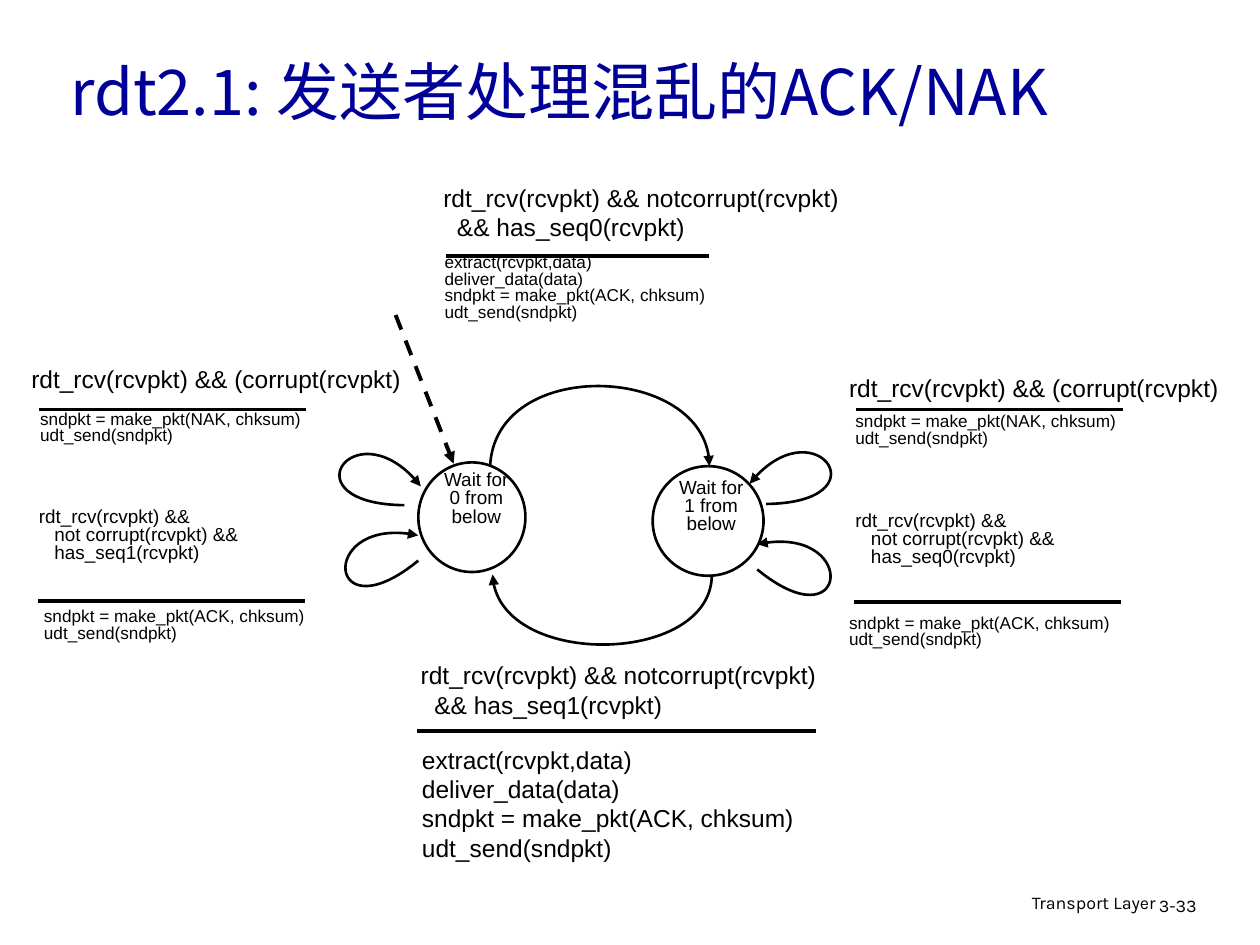
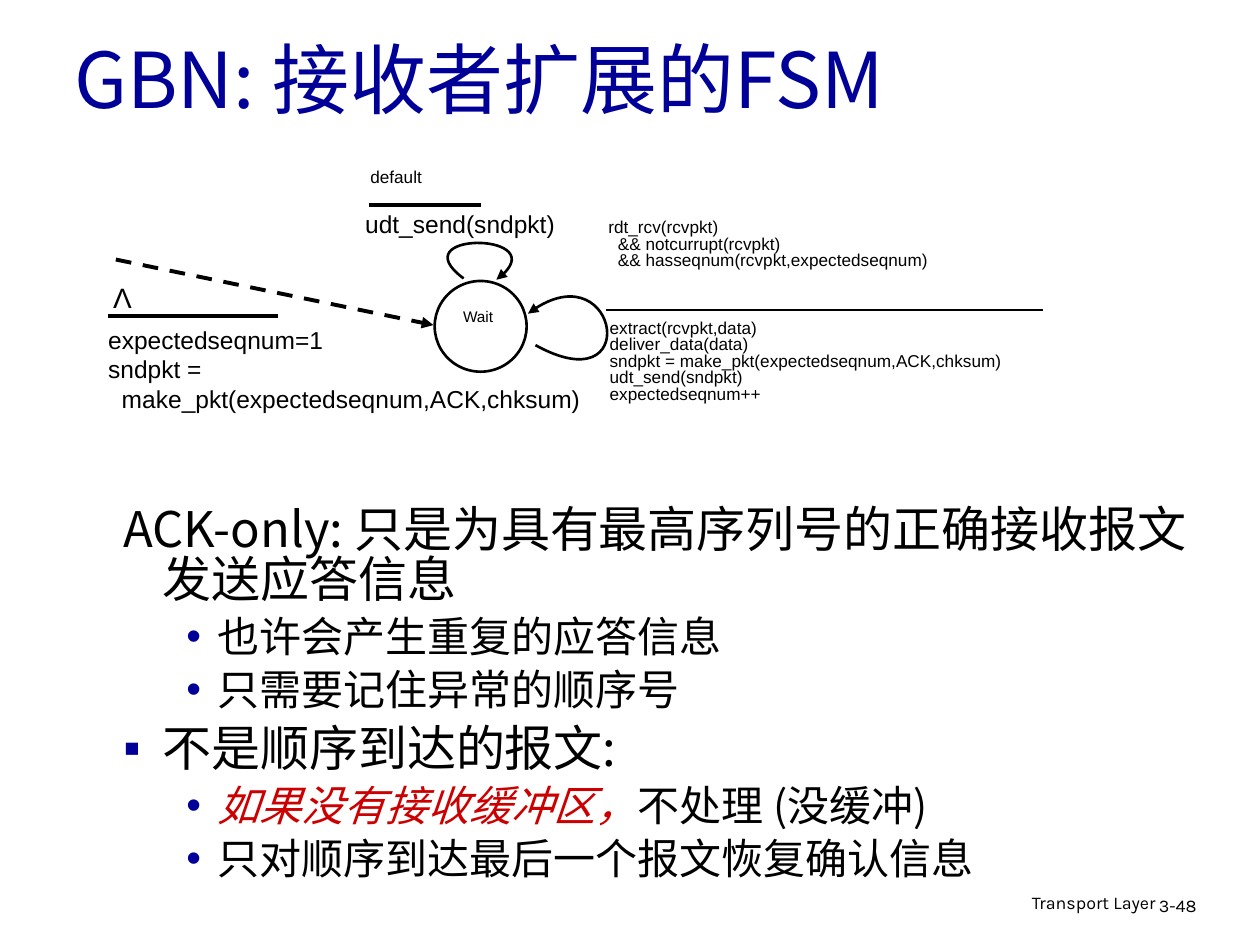
from pptx import Presentation
from pptx.dml.color import RGBColor
from pptx.enum.dml import MSO_LINE
from pptx.enum.shapes import MSO_CONNECTOR, MSO_SHAPE
from pptx.enum.text import MSO_ANCHOR, MSO_AUTO_SIZE, PP_ALIGN
from pptx.oxml.ns import qn
from pptx.util import Inches, Pt
from lxml.etree import SubElement

HUES = {"ink": "000000", "navy": "000099", "red": "CC0000", "white": "FFFFFF"}
HUE = {name: RGBColor.from_string(code) for name, code in HUES.items()}
HAN = "Noto Sans CJK SC"


def write(frame, text, size=14, font="Arial", hue="ink", align=PP_ALIGN.LEFT,
          space=1.0, before=0, mark=None, indent=None, hot=""):
    """Add one paragraph per line; hot is a red italic lead-in."""
    frame.word_wrap = True
    frame.auto_size = MSO_AUTO_SIZE.NONE
    for line in text.split("\n"):
        first = frame.paragraphs[0]
        para = frame.add_paragraph() if first.runs else first
        props = para._p.get_or_add_pPr()
        if indent:
            props.set("marL", str(Inches(indent[0])))
            props.set("indent", str(Inches(indent[1])))
            if mark:
                tint = SubElement(props, qn("a:buClr"))
                SubElement(tint, qn("a:srgbClr"), val=HUES["navy"])
                SubElement(props, qn("a:buChar"), char=mark)
            else:
                SubElement(props, qn("a:buNone"))
        para.alignment = align
        para.line_spacing = space
        para.space_before = Pt(before)
        para.space_after = Pt(0)
        for part, tone in ((hot, "red"), (line, hue)):
            if part:
                run = para.add_run()
                run.text = part
                run.font.size = Pt(size)
                run.font.name = font
                run.font.italic = part == hot
                run.font.color.rgb = HUE[tone]
                SubElement(run._r.get_or_add_rPr(), qn("a:ea"), typeface=font)


def stroke(slide, points, width=1.5, arrow=False, dash=False):
    """Draw a line through two points, or a Bezier curve through four."""
    places = [(Inches(x), Inches(y)) for x, y in points]
    if len(places) == 2:
        item = slide.shapes.add_connector(
            MSO_CONNECTOR.STRAIGHT, *places[0], *places[1])
        SubElement(item._element.spPr, qn("a:effectLst"))
    else:
        pen = slide.shapes.build_freeform(*places[0])
        pen.add_line_segments(places[1:], close=False)
        item = pen.convert_to_shape()
        item.shadow.inherit = False
        item.fill.background()
        # Turn the three straight steps into one cubic curve
        route = item._element.find(".//" + qn("a:path"))
        curve = SubElement(route, qn("a:cubicBezTo"))
        for step in route.findall(qn("a:lnTo")):
            curve.append(step[0])
            route.remove(step)
    item.line.color.rgb = HUE["ink"]
    item.line.width = Pt(width)
    if dash:
        item.line.dash_style = MSO_LINE.DASH
    if arrow:
        SubElement(item.line._get_or_add_ln(), qn("a:tailEnd"), type="triangle")


deck = Presentation()
deck.slide_width, deck.slide_height = Inches(10), Inches(7.5)

# Titles and footers
pages = [
    (5, "rdt2.1: 发送者处理混乱的ACK/NAK", 36, (0.46, 0.2, 9.1, 1.03), "3-33"),
    (1, "GBN: 接收者扩展的FSM", 44, (0.49, 0.23, 8.5, 0.77), "3-48"),
]
for layout, head, size, at, page in pages:
    slide = deck.slides.add_slide(deck.slide_layouts[layout])
    title = slide.shapes.title
    title.left, title.top, title.width, title.height = map(Inches, at)
    title.text_frame.vertical_anchor = MSO_ANCHOR.MIDDLE
    write(title.text_frame, head, size=size, font=HAN, hue="navy")
    for text, place, align in (
            ("Transport Layer", (6.1, 7.05, 3.17, 0.31), PP_ALIGN.RIGHT),
            (page, (9.1, 7.07, 0.74, 0.3), PP_ALIGN.LEFT)):
        foot = slide.shapes.add_textbox(*map(Inches, place))
        write(foot.text_frame, text, size=10.2, font="Karla", align=align,
              space=0.9)
rdt, gbn = deck.slides

# States: circle, then its label
states = [
    (rdt, (3.32, 3.67, 0.85, 0.87), (3.34, 3.7, 0.88, 0.67),
     "Wait for\n0 from below", 10.8),
    (rdt, (5.18, 3.7, 0.88, 0.87), (5.21, 3.76, 0.87, 0.67),
     "Wait for\n1 from below", 10.8),
    (gbn, (3.45, 2.23, 0.73, 0.72), (3.36, 2.42, 0.87, 0.26), "Wait", 8.8),
]
for slide, ring, at, text, size in states:
    state = slide.shapes.add_shape(MSO_SHAPE.OVAL, *map(Inches, ring))
    state.shadow.inherit = False
    state.fill.solid()
    state.fill.fore_color.rgb = HUE["white"]
    state.line.color.rgb = HUE["ink"]
    state.line.width = Pt(1.5)
    label = slide.shapes.add_textbox(*map(Inches, at))
    write(label.text_frame, text, size=size, align=PP_ALIGN.CENTER, space=0.8)

# Start arrows
for slide, start, end in ((rdt, (3.14, 2.5), (3.6, 3.68)),
                          (gbn, (0.92, 2.06), (3.44, 2.58))):
    stroke(slide, (start, end), width=2.25, arrow=True, dash=True)

# Moves between states and loops back
moves = [
    (rdt, (3.89, 3.7), (3.93, 2.84), (5.63, 2.89), (5.63, 3.7)),
    (rdt, (5.65, 4.56), (5.65, 5.27), (3.94, 5.31), (3.91, 4.56)),
    (rdt, (6.08, 4), (7.01, 3.99), (6.46, 3.2), (5.95, 3.84)),
    (rdt, (6.01, 4.52), (6.73, 5.11), (6.82, 4.15), (6.01, 4.32)),
    (rdt, (3.32, 4.45), (2.6, 5.04), (2.52, 4.08), (3.32, 4.25)),
    (rdt, (3.21, 4.01), (2.28, 4), (2.83, 3.21), (3.34, 3.86)),
    (gbn, (4.25, 2.74), (5.1, 3.21), (4.9, 1.95), (4.19, 2.49)),
    (gbn, (3.68, 2.21), (3.18, 1.84), (4.45, 1.84), (3.94, 2.22)),
]
for slide, *points in moves:
    stroke(slide, points, arrow=True)

# Rules between event and action: left, right, height, weight
rules = [
    (rdt, 3.54, 5.63, 2.03, 2.25), (rdt, 3.31, 6.48, 5.8, 2.25),
    (rdt, 0.31, 2.43, 3.25, 2.25), (rdt, 0.3, 2.42, 4.77, 2.25),
    (rdt, 6.79, 8.91, 3.25, 2.25), (rdt, 6.78, 8.9, 4.78, 2.25),
    (gbn, 2.93, 3.82, 1.63, 2.25), (gbn, 0.86, 2.21, 2.51, 2.25),
    (gbn, 4.81, 8.28, 2.46, 1.5),
]
for slide, left, right, y, width in rules:
    stroke(slide, ((left, y), (right, y)), width=width)

# Events and actions
good = "rdt_rcv(rcvpkt) && notcorrupt(rcvpkt)\n  && has_seq{}(rcvpkt)"
bad = "rdt_rcv(rcvpkt) && (corrupt(rcvpkt)"
old = "rdt_rcv(rcvpkt) &&\n   not corrupt(rcvpkt) &&\n   has_seq{}(rcvpkt)"
reply = "sndpkt = make_pkt({}, chksum)\nudt_send(sndpkt)"
take = "extract(rcvpkt,data)\ndeliver_data(data)\n"
labels = [
    (rdt, (3.42, 1.4, 4.35, 0.63), 14, good.format(0)),
    (rdt, (3.43, 1.98, 3.8, 0.77), 9.8, take + reply.format("ACK")),
    (rdt, (3.24, 5.19, 3.92, 0.62), 14, good.format(1)),
    (rdt, (3.25, 5.86, 4.21, 1.09), 14, take + reply.format("ACK")),
    (rdt, (0.15, 2.84, 3.14, 0.67), 14, bad),
    (rdt, (0.22, 3.22, 3.31, 0.45), 9.8, reply.format("NAK")),
    (rdt, (0.21, 3.99, 2.87, 0.67), 10.8, old.format(1)),
    (rdt, (0.25, 4.79, 3.22, 0.45), 9.8, reply.format("ACK")),
    (rdt, (6.64, 2.91, 3.14, 0.67), 14, bad),
    (rdt, (6.69, 3.24, 3.31, 0.45), 9.8, reply.format("NAK")),
    (rdt, (6.69, 4.02, 2.87, 0.67), 10.8, old.format(0)),
    (rdt, (6.64, 4.84, 3.22, 0.45), 9.8, reply.format("ACK")),
    (gbn, (2.84, 1.3, 0.79, 0.27), 9.8, "default"),
    (gbn, (2.8, 1.61, 1.77, 0.34), 14, "udt_send(sndpkt)"),
    (gbn, (0.8, 2.18, 0.35, 0.37), 16, "Λ"),
    (gbn, (0.76, 2.53, 3.98, 1.07), 14,
     "expectedseqnum=1\nsndpkt =\n  make_pkt(expectedseqnum,ACK,chksum)"),
    (gbn, (4.73, 1.7, 3.9, 0.62), 9.8,
     "rdt_rcv(rcvpkt)\n  && notcurrupt(rcvpkt)\n"
     "  && hasseqnum(rcvpkt,expectedseqnum)"),
    (gbn, (4.74, 2.5, 4.72, 0.94), 9.8,
     take + "sndpkt = make_pkt(expectedseqnum,ACK,chksum)\n"
     "udt_send(sndpkt)\nexpectedseqnum++"),
]
for slide, at, size, text in labels:
    label = slide.shapes.add_textbox(*map(Inches, at))
    write(label.text_frame, text, size=size, space=1.0 if size >= 14 else 0.8)

# Receiver notes
body = gbn.placeholders[1]
body.left, body.top, body.width, body.height = map(
    Inches, (0.88, 3.98, 8.91, 3.12))
notes = body.text_frame
top = dict(size=28, font=HAN, space=0.85, indent=(0.31, -0.31))
sub = dict(size=24, font=HAN, space=0.85, before=6, mark="•",
           indent=(0.75, -0.25))
write(notes, "ACK-only: 只是为具有最高序列号的正确接收报文发送应答信息", **top)
write(notes, "也许会产生重复的应答信息\n只需要记住异常的顺序号", **sub)
write(notes, "不是顺序到达的报文:", before=7, mark="▪", **top)
write(notes, "不处理 (没缓冲)", hot="如果没有接收缓冲区，", **sub)
write(notes, "只对顺序到达最后一个报文恢复确认信息", **sub)
for para in notes.paragraphs:
    para.level = 1 if para.runs[0].font.size == Pt(24) else 0

deck.save("out.pptx")
